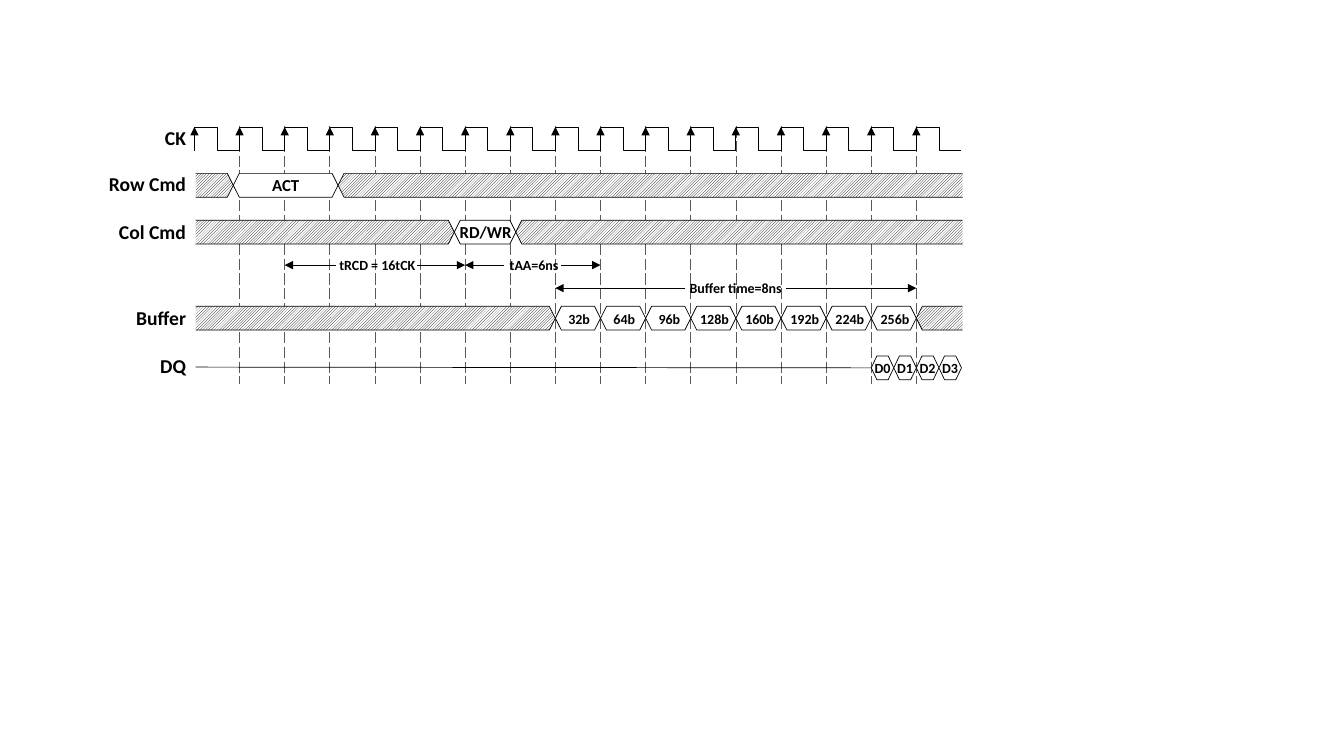
from dataclasses import dataclass

from lxml.etree import SubElement
from pptx import Presentation
from pptx.dml.color import RGBColor
from pptx.enum.dml import MSO_PATTERN
from pptx.enum.shapes import MSO_CONNECTOR, MSO_SHAPE
from pptx.enum.text import MSO_ANCHOR, PP_ALIGN
from pptx.oxml.ns import qn
from pptx.util import Cm, Pt

COLORS = {"ink": "000000", "paper": "FFFFFF", "grid": "595959"}
FONT = "Calibri"
CYCLES = 17
GRID_LEFT, GRID_TOP, GRID_WIDTH, GRID_HEIGHT = 4.9, 3.2, 19.33, 6.45
PITCH = GRID_WIDTH / CYCLES
SIGNAL_HEIGHT = 0.6
ROW_TOP, COL_TOP, BUFFER_TOP, DQ_TOP = 4.37, 5.55, 7.72, 8.97
LANE_END = 24.43


@dataclass
class Segment:
    """One hexagonal stretch of a signal lane."""
    left: float
    right: float
    top: float
    hatched: bool = False


@dataclass
class Label:
    """Text centred on a point."""
    text: str
    x: float
    y: float
    width: float
    size: int = 10


@dataclass
class LaneName:
    text: str
    left: float
    y: float


@dataclass
class Timing:
    """A time span: label and two outward arrows."""
    label: Label
    y: float
    start: float
    end: float
    gap_left: float
    gap_right: float


def color(name: str) -> RGBColor:
    return RGBColor.from_string(COLORS[name])


def edge(cycle: float) -> float:
    return GRID_LEFT + cycle * PITCH


def write(frame, text: str, size: int, align=PP_ALIGN.CENTER) -> None:
    frame.word_wrap = True
    frame.vertical_anchor = MSO_ANCHOR.MIDDLE
    if align == PP_ALIGN.CENTER:
        frame.margin_left = frame.margin_right = 0
    para = frame.paragraphs[0]
    para.alignment = align
    span = para.add_run()
    span.text = text
    span.font.name = FONT
    span.font.size = Pt(size)
    span.font.bold = True
    span.font.color.rgb = color("ink")


def draw_label(shapes, label: Label) -> None:
    height = 0.69
    box = shapes.add_textbox(Cm(label.x - label.width / 2), Cm(label.y - height / 2),
                             Cm(label.width), Cm(height))
    write(box.text_frame, label.text, label.size)


def draw_lane_name(shapes, name: LaneName) -> None:
    right, height = 4.94, 0.84
    box = shapes.add_textbox(Cm(name.left), Cm(name.y - height / 2),
                             Cm(right - name.left), Cm(height))
    write(box.text_frame, name.text, 14, PP_ALIGN.RIGHT)


def draw_line(shapes, x1: float, y1: float, x2: float, y2: float,
              arrow: bool = False, kind=MSO_CONNECTOR.STRAIGHT) -> None:
    line = shapes.add_connector(kind, Cm(x1), Cm(y1), Cm(x2), Cm(y2))
    line.line.color.rgb = color("ink")
    line.line.width = Pt(0.5)
    if arrow:
        SubElement(line.line._get_or_add_ln(), qn("a:tailEnd"), type="triangle")
    SubElement(line._element.spPr, qn("a:effectLst"))


def draw_segment(shapes, segment: Segment):
    box = shapes.add_shape(MSO_SHAPE.HEXAGON, Cm(segment.left), Cm(segment.top),
                           Cm(segment.right - segment.left), Cm(SIGNAL_HEIGHT))
    box.shadow.inherit = False
    if segment.hatched:
        box.fill.patterned()
        box.fill.pattern = MSO_PATTERN.LIGHT_UPWARD_DIAGONAL
        box.fill.fore_color.rgb = color("ink")
        box.fill.back_color.rgb = color("paper")
    else:
        box.fill.solid()
        box.fill.fore_color.rgb = color("paper")
    box.line.color.rgb = color("ink")
    box.line.width = Pt(0.5)
    return box


def draw_trim(shapes, left: float, top: float, width: float, height: float) -> None:
    box = shapes.add_shape(MSO_SHAPE.RECTANGLE, Cm(left), Cm(top), Cm(width), Cm(height))
    box.shadow.inherit = False
    box.fill.solid()
    box.fill.fore_color.rgb = color("paper")
    box.line.fill.background()


def draw_timing(shapes, timing: Timing) -> None:
    group = shapes.add_group_shape().shapes
    draw_line(group, timing.gap_left, timing.y, timing.start, timing.y, arrow=True)
    draw_line(group, timing.gap_right, timing.y, timing.end, timing.y, arrow=True)
    draw_label(group, timing.label)


def draw_grid(shapes) -> None:
    table = shapes.add_table(1, CYCLES, Cm(GRID_LEFT), Cm(GRID_TOP),
                             Cm(GRID_WIDTH), Cm(GRID_HEIGHT)).table
    table.first_row = table.horz_banding = False
    for index in range(CYCLES):
        table.columns[index].width = Cm(PITCH)
        cell = table.cell(0, index)
        cell.fill.background()
        props = cell._tc.get_or_add_tcPr()
        sides = [("a:lnL", index > 0), ("a:lnR", index < CYCLES - 1)]
        for place, side in enumerate(tag for tag, inner in sides if inner):
            border = SubElement(props, qn(side), w=str(Pt(0.5)))
            fill = SubElement(border, qn("a:solidFill"))
            SubElement(fill, qn("a:srgbClr"), val=COLORS["grid"])
            SubElement(border, qn("a:prstDash"), val="dash")
            props.insert(place, border)


deck = Presentation()
deck.slide_width, deck.slide_height = Cm(33.87), Cm(19.05)
page = deck.slides.add_slide(deck.slide_layouts[6])
canvas = page.shapes

# Dashed clock grid
draw_grid(canvas)

# Command and buffer lanes
act = draw_segment(canvas, Segment(5.88, 8.52, ROW_TOP))
write(act.text_frame, "ACT", 12)
for lane_segment in (
    Segment(4.72, 5.88, ROW_TOP, True),
    Segment(8.52, LANE_END, ROW_TOP, True),
    Segment(4.72, 11.45, COL_TOP, True),
    Segment(13, LANE_END, COL_TOP, True),
    Segment(11.45, 13, COL_TOP),
    Segment(4.57, edge(8), BUFFER_TOP, True),
    Segment(edge(16), LANE_END, BUFFER_TOP, True),
):
    draw_segment(canvas, lane_segment)
draw_line(canvas, 4.8, 9.25, edge(15), 9.27)

# Straight ends of the lanes
draw_trim(canvas, 1.85, 3.23, 3.08, 7.14)
draw_trim(canvas, 24.26, 3.18, 0.71, 6.58)

# Clock signal
for cycle in range(CYCLES):
    x = edge(cycle)
    bottom = GRID_TOP + SIGNAL_HEIGHT
    draw_line(canvas, x, bottom, x, GRID_TOP, arrow=True)
    draw_line(canvas, x, GRID_TOP, x + PITCH, bottom, kind=MSO_CONNECTOR.ELBOW)

# Buffer fill steps and data beats
for step in range(8):
    left = edge(8 + step)
    draw_segment(canvas, Segment(left, left + PITCH, BUFFER_TOP))
    draw_label(canvas, Label(f"{32 * (step + 1)}b", left + PITCH / 2 + 0.03, 8.04, 1.27))
for beat in range(4):
    left = edge(15 + beat / 2)
    draw_segment(canvas, Segment(left, left + PITCH / 2, DQ_TOP))
    draw_label(canvas, Label(f"D{beat}", left + PITCH / 4, 9.27, 0.96))
draw_label(canvas, Label("RD/WR", 12.24, 5.84, 2.03, 12))

# Lane names
for lane_name in (
    LaneName("CK", 3.3, 3.47),
    LaneName("Row Cmd", 2.24, 4.64),
    LaneName("Col Cmd", 2.44, 5.83),
    LaneName("Buffer", 2.44, 8.01),
    LaneName("DQ", 2.92, 9.21),
):
    draw_lane_name(canvas, lane_name)

# Time spans
for span_item in (
    Timing(Label("tRCD = 16tCK", 9.51, 6.67, 2.82), 6.68, edge(2), edge(6), 8.46, 10.52),
    Timing(Label("tAA=6ns", 13.46, 6.67, 2.95), 6.68, edge(6), edge(9), 12.7, 14.15),
    Timing(Label("Buffer time=8ns", 18.54, 7.25, 3.2), 7.26, edge(8), edge(16), 17.27, 19.81),
):
    draw_timing(canvas, span_item)

deck.save("out.pptx")
